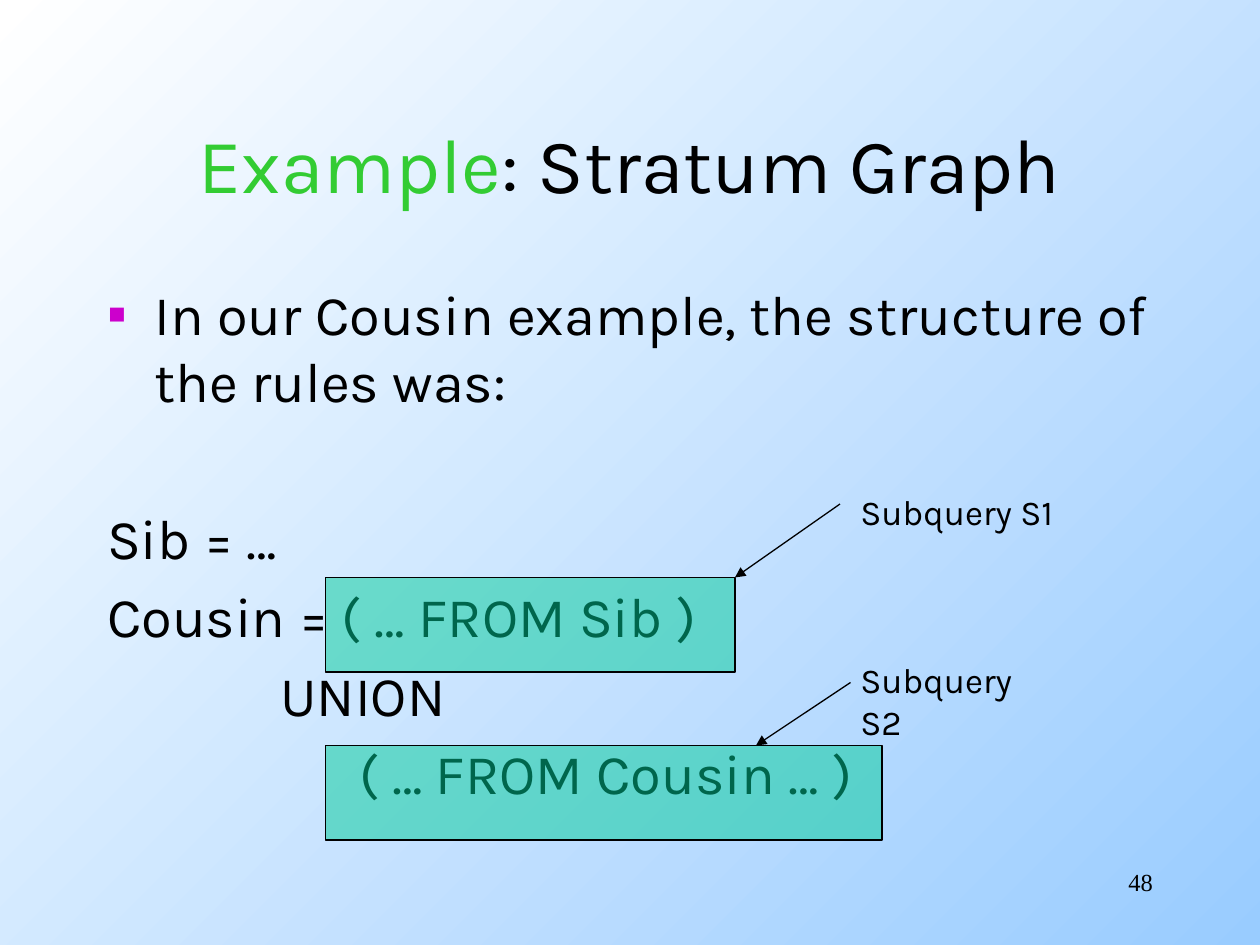
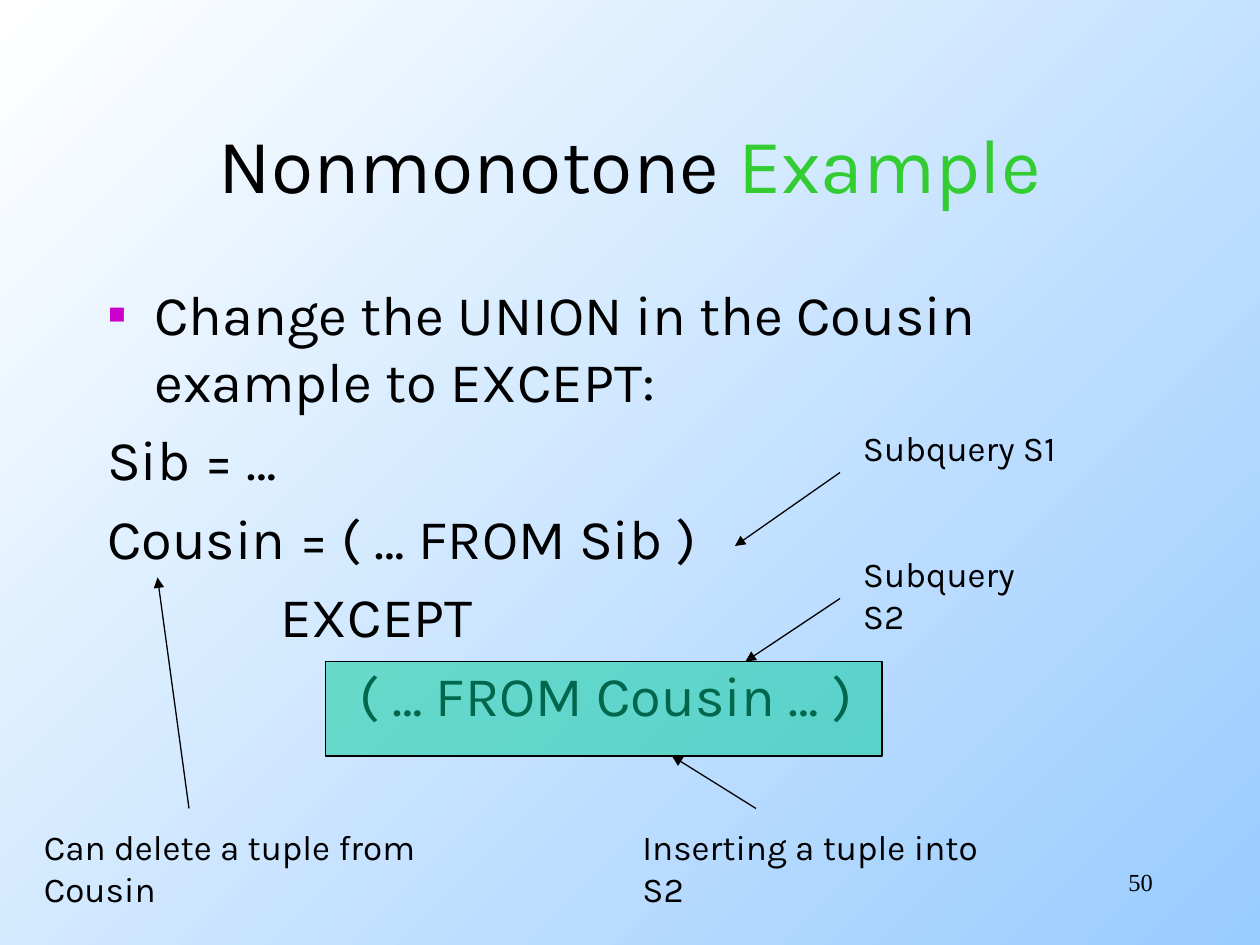
from lxml import etree
from pptx import Presentation
from pptx.dml.color import RGBColor
from pptx.enum.shapes import MSO_CONNECTOR, MSO_SHAPE
from pptx.enum.text import MSO_ANCHOR, MSO_AUTO_SIZE, PP_ALIGN
from pptx.oxml.ns import qn
from pptx.util import Pt

BLACK = RGBColor(0x00, 0x00, 0x00)
WHITE = RGBColor(0xFF, 0xFF, 0xFF)
SKY = RGBColor(0x99, 0xCC, 0xFF)
GREEN = RGBColor(0x33, 0xCC, 0x33)
TEAL = RGBColor(0x00, 0xCC, 0x99)
MAGENTA = RGBColor(0xCC, 0x00, 0xCC)

LEFT, CENTER, RIGHT = PP_ALIGN.LEFT, PP_ALIGN.CENTER, PP_ALIGN.RIGHT
TOP, MIDDLE = MSO_ANCHOR.TOP, MSO_ANCHOR.MIDDLE
NO_FIT = MSO_AUTO_SIZE.NONE
RECTANGLE = MSO_SHAPE.RECTANGLE
STRAIGHT = MSO_CONNECTOR.STRAIGHT

TITLE_FONT = {"name": "Karla", "size": Pt(44)}
BODY_FONT = {"name": "Karla", "size": Pt(32)}
LABEL_FONT = {"name": "Karla", "size": Pt(20)}
NUMBER_FONT = {"name": "Times New Roman", "size": Pt(14)}

TITLE_BOX = (54, 48, 612, 90)
BODY_BOX = (54, 156, 612, 324)
NUMBER_BOX = (516, 492, 150, 36)

HANG = 27
OPERATOR_INDENT = HANG + 72
OPERAND_INDENT = OPERATOR_INDENT + 45
PARA_GAP = 6.4
SECTION_GAP = 51.2
TERM_LEFT, TERM_HEIGHT = 186, 54
LABEL_WIDTH, LABEL_HEIGHT = 126, 31


def apply(target, values):
    for name, value in values.items():
        setattr(target, name, value)


def add_child(parent, tag, **attributes):
    return etree.SubElement(parent, qn(tag), attributes)


class SlideWriter:
    def __init__(self):
        self.deck = Presentation()
        apply(self.deck, {"slide_width": Pt(720), "slide_height": Pt(540)})
        fill = self.deck.slide_master.background.fill
        fill.gradient()
        fill.gradient_angle = 315
        for stop, position, color in zip(fill.gradient_stops, (0, 1), (WHITE, SKY)):
            stop.position = position
            stop.color.rgb = color
        self.page = None

    def new_page(self, number, title):
        self.page = self.deck.slides.add_slide(self.deck.slide_layouts[1])
        self.text(NUMBER_BOX, str(number), NUMBER_FONT, RIGHT)
        heading = self.page.shapes.title
        self.place(heading, TITLE_BOX, MIDDLE)
        para = heading.text_frame.paragraphs[0]
        para.alignment = CENTER
        for words, color in title:
            self.span(para, words, TITLE_FONT, color)

    def place(self, shape, box, anchor):
        apply(shape, dict(zip(("left", "top", "width", "height"), map(Pt, box))))
        apply(shape.text_frame, {"word_wrap": True, "auto_size": NO_FIT,
                                 "vertical_anchor": anchor})

    def span(self, para, words, font, color=BLACK):
        span = para.add_run()
        span.text = words
        apply(span.font, font)
        span.font.color.rgb = color

    def text(self, box, words, font=LABEL_FONT, alignment=LEFT):
        shape = self.page.shapes.add_textbox(*map(Pt, box))
        self.place(shape, box, TOP)
        para = shape.text_frame.paragraphs[0]
        para.alignment = alignment
        self.span(para, words, font)

    def body(self, bullet, rules, first_gap=PARA_GAP):
        shape = self.page.placeholders[1]
        self.place(shape, BODY_BOX, TOP)
        frame = shape.text_frame
        self.body_line(frame.paragraphs[0], bullet, HANG, -HANG, bulleted=True)
        for index, (words, indent) in enumerate(rules):
            gap = PARA_GAP if index else first_gap
            self.body_line(frame.add_paragraph(), words, indent, 0, gap)

    def body_line(self, para, words, margin, indent, gap=PARA_GAP, bulleted=False):
        apply(para, {"space_before": Pt(gap), "alignment": LEFT})
        self.span(para, words, BODY_FONT)
        properties = para._p.get_or_add_pPr()
        properties.set("marL", str(Pt(margin)))
        properties.set("indent", str(Pt(indent)))
        if bulleted:
            color = add_child(properties, "a:buClr")
            add_child(color, "a:srgbClr", val=str(MAGENTA))
            add_child(properties, "a:buFont", typeface="Arial")
            add_child(properties, "a:buChar", char="▪")
        else:
            add_child(properties, "a:buNone")

    def term(self, top, width):
        box = (TERM_LEFT, top, width, TERM_HEIGHT)
        shape = self.page.shapes.add_shape(RECTANGLE, *map(Pt, box))
        shape.shadow.inherit = False
        shape.fill.solid()
        shape.fill.fore_color.rgb = TEAL
        color = shape.fill._xPr.find(".//" + qn("a:srgbClr"))
        add_child(color, "a:alpha", val="50000")
        self.outline(shape.line)

    def outline(self, line):
        line.color.rgb = BLACK
        line.width = Pt(0.75)

    def arrow(self, start, end):
        connector = self.page.shapes.add_connector(STRAIGHT, *map(Pt, start + end))
        self.outline(connector.line)
        add_child(connector.line._get_or_add_ln(), "a:tailEnd", type="triangle")
        add_child(connector._element.spPr, "a:effectLst")

    def subqueries(self, left, top, step):
        for index, words in enumerate(("Subquery S1", "Subquery S2")):
            self.text((left, top + index * step, LABEL_WIDTH, LABEL_HEIGHT), words)


def rule_lines(operator):
    return [
        ("Sib = …", 0),
        ("Cousin = ( … FROM Sib )", 0),
        (operator, OPERATOR_INDENT),
        ("( … FROM Cousin … )", OPERAND_INDENT),
    ]


def stratum_graph(writer):
    writer.new_page(48, [("Example", GREEN), (": Stratum Graph", BLACK)])
    writer.body("In our Cousin example, the structure of the rules was:",
                rule_lines("UNION"), SECTION_GAP)
    writer.term(330, 234)
    writer.term(426, 318)
    writer.subqueries(484.5, 276.5, 96)
    writer.arrow((480, 288), (420, 330))
    writer.arrow((486, 390), (432, 426))


def nonmonotone_example(writer):
    writer.new_page(50, [("Nonmonotone ", BLACK), ("Example", GREEN)])
    writer.body("Change the UNION in the Cousin example to EXCEPT:",
                rule_lines("EXCEPT"))
    writer.subqueries(486, 240, 72)
    writer.arrow((480, 270), (420, 312))
    writer.arrow((480, 342), (426, 378))
    writer.term(378, 318)
    writer.text((360, 468, 228, LABEL_HEIGHT), "Inserting a tuple into S2")
    writer.arrow((432, 462), (384, 432))
    writer.text((18, 468, 287, LABEL_HEIGHT), "Can delete a tuple from Cousin")
    writer.arrow((108, 462), (90, 330))


def main():
    writer = SlideWriter()
    stratum_graph(writer)
    nonmonotone_example(writer)
    writer.deck.save("out.pptx")


if __name__ == "__main__":
    main()
